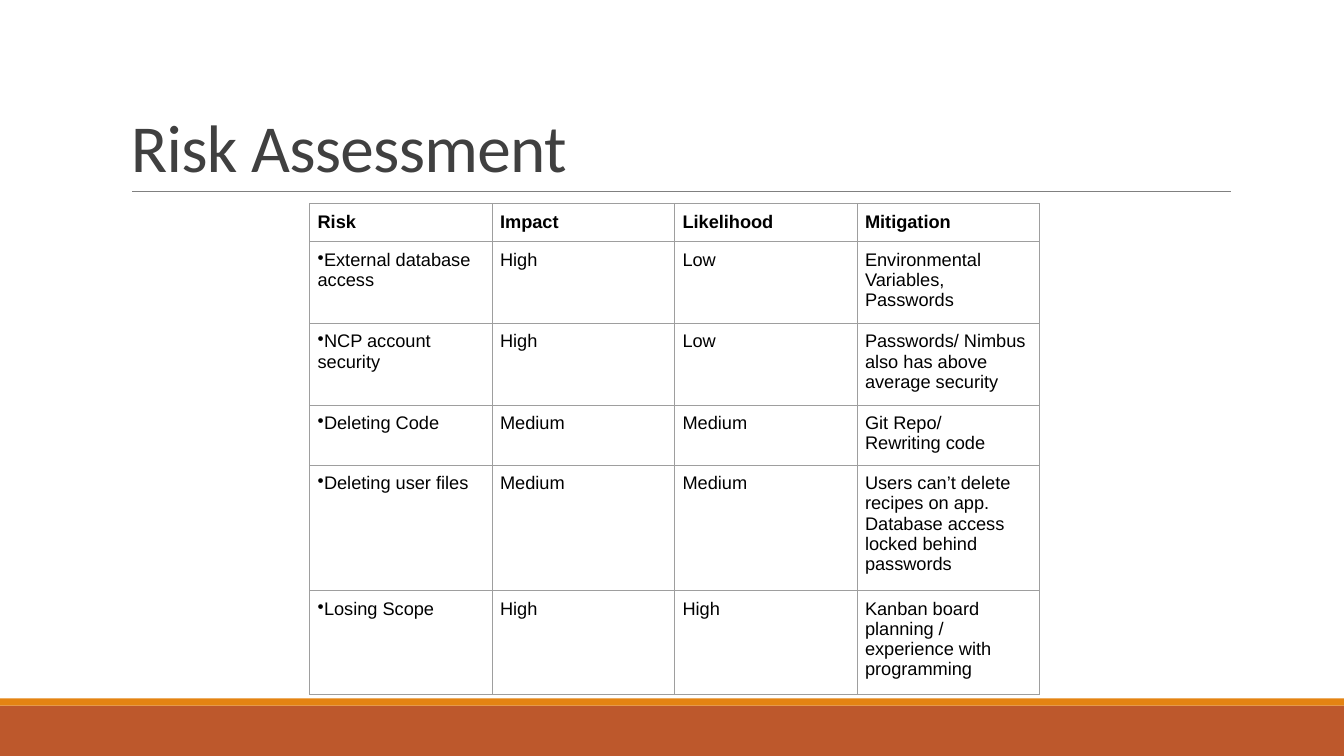
from dataclasses import dataclass

from lxml import etree
from pptx import Presentation
from pptx import util as u
from pptx.dml.color import RGBColor
from pptx.enum import shapes, text
from pptx.oxml import ns


@dataclass(frozen=True)
class Theme:
    title_color: str = "404040"
    text_color: str = "000000"
    band: str = "BD582C"
    stripe: str = "E48312"
    rule: str = "808080"
    border: str = "9E9E9E"
    title_font: str = "Calibri"
    body_font: str = "Arial"
    title_size: float = 48
    body_size: float = 13
    rule_width: float = 0.5
    border_width: float = 0.6


THEME = Theme()

HEADINGS = ("Risk", "Impact", "Likelihood", "Mitigation")
RISKS = (
    ("External database access", "High", "Low", "Environmental Variables,\nPasswords"),
    ("NCP account security", "High", "Low",
     "Passwords/ Nimbus also has above average security"),
    ("Deleting Code", "Medium", "Medium", "Git Repo/\nRewriting code"),
    ("Deleting user files", "Medium", "Medium",
     "Users can’t delete recipes on app. Database access locked behind passwords"),
    ("Losing Scope", "High", "High",
     "Kanban board planning / experience with programming"),
)
ROW_HEIGHTS = (0.37, 0.81, 0.81, 0.59, 1.16, 1.02)
COLUMN_WIDTH = 1.81
CELL_INSET = 0.08


def add_run(para, wording, font, size, color, bold=False):
    span = para.add_run()
    span.text = wording
    span.font.name = font
    span.font.size = u.Pt(size)
    span.font.bold = bold
    span.font.color.rgb = RGBColor.from_string(color)
    return span


def add_bar(page, top, height, color):
    bar = page.shapes.add_shape(shapes.MSO_SHAPE.RECTANGLE, u.Inches(0), u.Inches(top),
                                u.Inches(13.33), u.Inches(height))
    bar.shadow.inherit = False
    bar.fill.solid()
    bar.fill.fore_color.rgb = RGBColor.from_string(color)
    bar.line.fill.background()


def add_rule(page, left, right, top):
    rule = page.shapes.add_connector(shapes.MSO_CONNECTOR.STRAIGHT, u.Inches(left),
                                     u.Inches(top), u.Inches(right), u.Inches(top))
    rule.line.color.rgb = RGBColor.from_string(THEME.rule)
    rule.line.width = u.Pt(THEME.rule_width)
    etree.SubElement(rule._element.spPr, ns.qn("a:effectLst"))


def add_title(page, wording):
    box = page.shapes.add_textbox(u.Inches(1.2), u.Inches(0.31),
                                  u.Inches(11), u.Inches(1.59))
    frame = box.text_frame
    frame.word_wrap = True
    frame.vertical_anchor = text.MSO_ANCHOR.BOTTOM
    para = frame.paragraphs[0]
    para.line_spacing = 0.85
    span = add_run(para, wording, THEME.title_font, THEME.title_size, THEME.title_color)
    span._r.get_or_add_rPr().set("spc", "-50")


def add_bullet(para):
    para.space_after = u.Pt(16)
    properties = para._p.get_or_add_pPr()
    properties.set("marL", "0")
    properties.set("indent", "0")
    etree.SubElement(properties, ns.qn("a:buChar"), char="•")


def set_borders(cell):
    """Draw all four sides; border elements must come before the cell's fill."""
    properties = cell._tc.get_or_add_tcPr()
    for place, side in enumerate(("lnL", "lnR", "lnT", "lnB")):
        border = etree.Element(ns.qn(f"a:{side}"), w=str(u.Pt(THEME.border_width)))
        fill = etree.SubElement(border, ns.qn("a:solidFill"))
        etree.SubElement(fill, ns.qn("a:srgbClr"), val=THEME.border)
        properties.insert(place, border)


def fill_cell(cell, wording, bold, bulleted):
    cell.fill.background()
    set_borders(cell)
    inset = u.Inches(CELL_INSET)
    cell.margin_left = cell.margin_right = inset
    cell.margin_top = cell.margin_bottom = inset
    frame = cell.text_frame
    for index, line in enumerate(wording.split("\n")):
        para = frame.add_paragraph() if index else frame.paragraphs[0]
        if bulleted:
            add_bullet(para)
        add_run(para, line, THEME.body_font, THEME.body_size, THEME.text_color, bold)


def add_risk_table(page):
    rows = (HEADINGS, *RISKS)
    columns = len(HEADINGS)
    table = page.shapes.add_table(
        len(rows), columns, u.Inches(3.07), u.Inches(2.02),
        u.Inches(COLUMN_WIDTH * columns), u.Inches(sum(ROW_HEIGHTS))).table
    table.first_row = table.horz_banding = False
    for column in table.columns:
        column.width = u.Inches(COLUMN_WIDTH)
    for row, (height, wordings) in enumerate(zip(ROW_HEIGHTS, rows)):
        table.rows[row].height = u.Inches(height)
        for column, wording in enumerate(wordings):
            fill_cell(table.cell(row, column), wording, bold=row == 0,
                      bulleted=row > 0 and column == 0)


def main():
    deck = Presentation()
    deck.slide_width = u.Inches(13.33)
    deck.slide_height = u.Inches(7.5)
    page = deck.slides.add_slide(deck.slide_layouts[6])
    add_bar(page, 7, 0.5, THEME.band)
    add_bar(page, 6.93, 0.07, THEME.stripe)
    add_rule(page, 1.31, 12.21, 1.9)
    add_title(page, "Risk Assessment")
    add_risk_table(page)
    deck.save("out.pptx")


if __name__ == "__main__":
    main()
